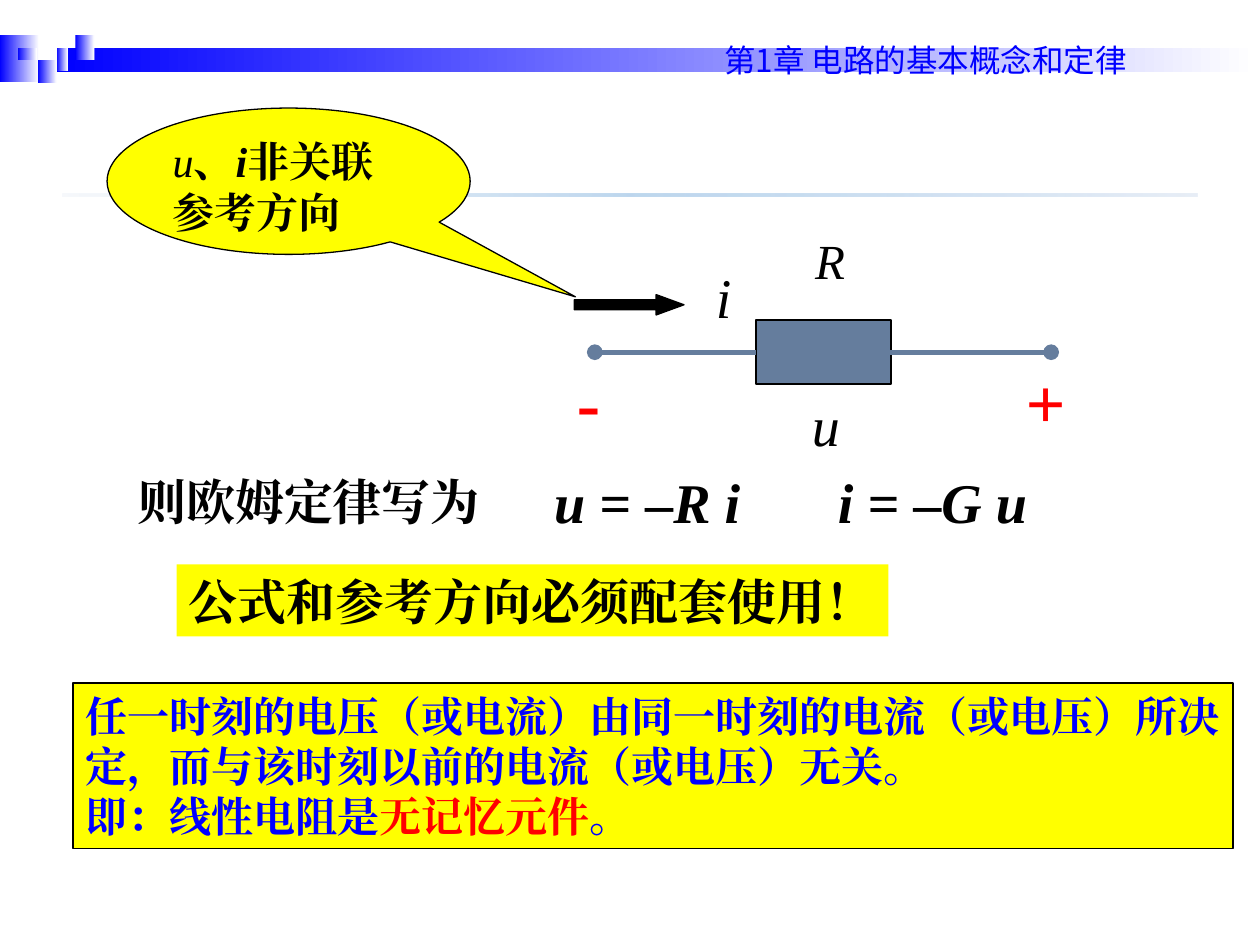
from lxml import etree
from pptx import Presentation
from pptx.dml.color import RGBColor
from pptx.enum import shapes, text
from pptx.oxml import ns
from pptx.util import Cm, Pt

SERIF, SANS = "Times New Roman", "Noto Sans CJK SC"
BLUE, RED, BLACK = "0000FF", "FF0000", "000000"
YELLOW, STEEL, WHITE = "FFFF00", "657D9D", "FFFFFF"
KIND = shapes.MSO_SHAPE
LEFT, MID = text.PP_ALIGN.LEFT, text.PP_ALIGN.CENTER


def color(code):
    return RGBColor.from_string(code)


def sub(node, tag, **attrs):
    """Add a child element such as a:tab with the given attributes."""
    return etree.SubElement(node, ns.qn(tag), attrs)


class Deck:
    def __init__(self, width, height):
        self.prs = Presentation()
        self.prs.slide_width, self.prs.slide_height = Cm(width), Cm(height)
        self.slide = self.prs.slides.add_slide(self.prs.slide_layouts[6])

    def shape(self, box, fill=None, line=None, kind=KIND.RECTANGLE, adj=()):
        item = self.slide.shapes.add_shape(kind, *map(Cm, box))
        item.shadow.inherit = False
        for n, value in enumerate(adj):
            item.adjustments[n] = value
        if fill:
            item.fill.solid()
            item.fill.fore_color.rgb = color(fill)
        if line:
            item.line.color.rgb = color(BLACK)
            item.line.width = Pt(line)
        else:
            item.line.fill.background()
        return item

    def fade(self, box, stops):
        """Draw a rectangle with a left-to-right gradient of (place, colour, opacity)."""
        item = self.shape(box)
        item.fill.gradient()
        item.fill.gradient_angle = 0
        group = item.element.spPr.find(".//" + ns.qn("a:gsLst"))
        for stop in list(group):
            group.remove(stop)
        for place, code, alpha in stops:
            stop = sub(group, "a:gs", pos=str(place * 1000))
            tone = sub(stop, "a:srgbClr", val=code)
            if alpha < 100:
                sub(tone, "a:alpha", val=str(alpha * 1000))

    def wire(self, start, end):
        """Draw a lead that ends in a round terminal."""
        item = self.slide.shapes.add_connector(
            shapes.MSO_CONNECTOR.STRAIGHT, *map(Cm, start + end))
        item.line.color.rgb = color(STEEL)
        item.line.width = Pt(3)
        props = item.element.spPr
        sub(props.find(ns.qn("a:ln")), "a:tailEnd", type="oval")
        sub(props, "a:effectLst")

    def label(self, box, paras, size, **style):
        item = self.slide.shapes.add_textbox(*map(Cm, box))
        self.letter(item, paras, size, **style)
        return item

    def letter(self, item, paras, size, align=LEFT, wrap=True, middle=False,
               grow=True, font=SERIF, tab=None):
        """Fill a shape with paragraphs of (words, colour, style letters) runs."""
        frame = item.text_frame
        frame.word_wrap = wrap
        anchor = text.MSO_ANCHOR
        frame.vertical_anchor = anchor.MIDDLE if middle else anchor.TOP
        if grow:
            frame.auto_size = text.MSO_AUTO_SIZE.SHAPE_TO_FIT_TEXT
        for n, runs in enumerate(paras):
            para = frame.add_paragraph() if n else frame.paragraphs[0]
            para.alignment = align
            if tab:
                tabs = sub(para._p.get_or_add_pPr(), "a:tabLst")
                sub(tabs, "a:tab", pos=str(Cm(tab)), algn="l")
            for words, code, style in runs:
                run = para.add_run()
                run.text = words
                run.font.size = Pt(size)
                run.font.name = font
                run.font.bold = "b" in style
                run.font.italic = "i" in style
                run.font.color.rgb = color(code)
                sub(run._r.get_or_add_rPr(), "a:ea", typeface=font)


def header(deck):
    blocks = [
        (0, 0.71, 0.79, 0.94), (1.14, 0.97, 24.21, 0.48),
        (1.14, 0.97, 0.23, 0.25), (1.52, 0.71, 0.38, 0.25),
        (1.52, 0.97, 0.38, 0.25), (0.76, 1.22, 0.38, 0.25),
        (0.36, 0.97, 0.38, 0.25), (1.14, 1.19, 0.23, 0.25),
        (0.76, 1.45, 0.38, 0.23)]
    for box in blocks:
        deck.fade(box, [(0, BLUE, 100), (100, WHITE, 100)])
    deck.fade((1.27, 3.91, 22.86, 0.05),
              [(0, "D2DEEF", 20), (50, "5B9BD5", 40), (100, "D2DEEF", 50)])
    deck.label((14.35, 0.71, 9.83, 1.12),
               [[("第1章 电路的基本概念和定律", BLUE, "")]], 18,
               wrap=False, font=SANS)


def law(deck):
    deck.label((2.46, 9.37, 7.52, 1.45), [[("则欧姆定律写为", BLACK, "b")]],
               28, align=MID, wrap=False, middle=True)
    runs = [("u = ", BLACK, "bi"), ("–", BLACK, "b"), ("R i\ti = ", BLACK, "bi"),
            ("–", BLACK, "b"), ("G u", BLACK, "bi")]
    item = deck.label((9.4, 9.3, 13.08, 1.6), [runs], 32, middle=True, tab=5.72)
    item.text_frame.margin_left = Cm(1.77)
    item = deck.shape((3.56, 11.38, 14.35, 1.45), YELLOW)
    deck.letter(item, [[("公式和参考方向必须配套使用！", BLACK, "b")]], 28,
                wrap=False, middle=True)


def circuit(deck):
    deck.shape((15.24, 6.45, 2.72, 1.3), STEEL, 1)
    for near, far in ((15.24, 11.99), (17.94, 21.19)):
        deck.wire((near, 7.1), (far, 7.1))
    deck.shape((11.58, 5.94, 2.21, 0.41), BLACK, 0.75, KIND.RIGHT_ARROW,
               (0.5, 1.37))
    deck.label((16.15, 4.52, 1.17, 1.45), [[("R", BLACK, "i")]], 28,
               align=MID, wrap=False, middle=True)
    marks = [
        ("u", (15.57, 7.75, 2.16, 1.6), 32, BLACK, "i"),
        ("i", (13.79, 5.16, 1.6, 1.6), 32, BLACK, "i"),
        ("+", (20.37, 7.11, 1.4, 1.96), 40, RED, "bi"),
        ("-", (10.57, 7.11, 2.59, 1.96), 40, RED, "b")]
    for sign, box, size, code, style in marks:
        deck.label(box, [[(sign, code, style)]], size, align=MID)


def notes(deck):
    item = deck.shape((2.16, 2.18, 7.32, 2.95), YELLOW, 0.75,
                      KIND.OVAL_CALLOUT, (0.79, 0.79))
    runs = [("u", BLACK, "i"), ("、", BLACK, "b"), ("i", BLACK, "bi"),
            ("非关联参考方向", BLACK, "b")]
    deck.letter(item, [runs], 24, grow=False)
    item = deck.shape((1.47, 13.77, 23.39, 3.33), YELLOW, 0.75)
    rule = "任一时刻的电压（或电流）由同一时刻的电流（或电压）所决定，而与该时刻以前的电流（或电压）无关。"
    close = [("即：线性电阻是", BLUE, "b"), ("无记忆元件", RED, "b"), ("。", BLUE, "b")]
    deck.letter(item, [[(rule, BLUE, "b")], close], 24, middle=True)


def main():
    deck = Deck(25.4, 19.05)
    for part in (header, law, circuit, notes):
        part(deck)
    deck.prs.save("out.pptx")


if __name__ == "__main__":
    main()
